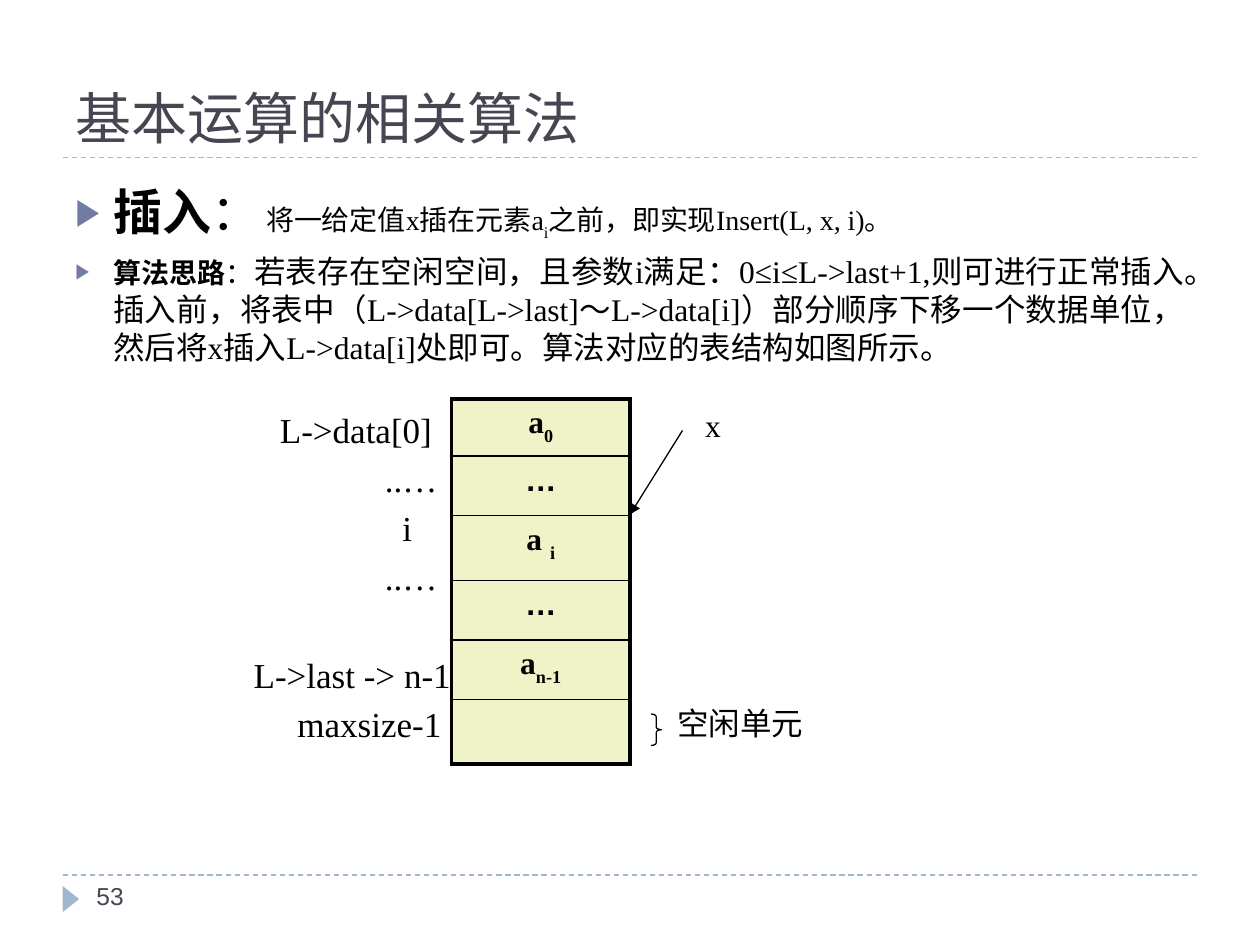
from lxml.etree import SubElement
from pptx import Presentation
from pptx.dml.color import RGBColor
from pptx.enum.dml import MSO_LINE
from pptx.enum.shapes import MSO_CONNECTOR as CONNECTOR, MSO_SHAPE as SHAPE
from pptx.enum.text import MSO_ANCHOR as ANCHOR, PP_ALIGN as ALIGN
from pptx.oxml.ns import qn
from pptx.util import Pt

COLORS = {"title": "464653", "text": "000000", "bullet": "727CA3",
          "accent": "9FB8CD", "cell": "F0F2C8"}
SERIF, SANS = "Times New Roman", "Arial"
ROW_HEIGHTS = [32, 34, 37, 34, 34, 37]
CELLS = [("a", "0"), ("…", ""), ("a ", "i"), ("…", ""), ("a", "n-1"), ("", "")]
LABELS = [("L->data[0]", 160, 0), ("..…", 220, 1), ("i", 230, 2),
          ("..…", 220, 3), ("L->last -> n-1", 145, 5), ("maxsize-1", 170, 6)]
BODY = [
    [("插入", {"size": 28, "bold": True}), ("：", {"size": 28}),
     (" 将一给定值x插在元素a", {"size": 16}), ("i", {"size": 16, "base": -30}),
     ("之前，即实现Insert(L, x, i)。", {"size": 16})],
    [("算法思路", {"size": 16, "bold": True}), ("：", {"size": 16}),
     ("若表存在空闲空间，且参数i满足：0≤i≤L->last+1,则可进行正常插入。"
      "插入前，将表中（L->data[L->last]～L->data[i]）部分顺序下移一个数据单位，"
      "然后将x插入L->data[i]处即可。算法对应的表结构如图所示。", {"size": 18})],
]


def rgb(name):
    """Return the named palette colour."""
    return RGBColor.from_string(COLORS[name])


def add_run(paragraph, text, size=18, font=SERIF, color="text", bold=False, base=0):
    """Append a formatted run, lowered when base is negative."""
    run = paragraph.add_run()
    run.text = text
    values = {"size": Pt(size), "name": font, "bold": bold}
    for key, value in values.items():
        setattr(run.font, key, value)
    run.font.color.rgb = rgb(color)
    if base:
        run.font._element.set("baseline", str(base * 1000))


def add_text(slide, left, top, width, height, inset=0):
    """Add a text box and return its text frame."""
    frame = slide.shapes.add_textbox(Pt(left), Pt(top), Pt(width), Pt(height)).text_frame
    frame.word_wrap = True
    for side in ("left", "top", "right", "bottom"):
        setattr(frame, f"margin_{side}", Pt(inset))
    return frame


def add_line(slide, start, end, color, dash=None, arrow=False):
    """Draw a thin straight line without a shadow."""
    line = slide.shapes.add_connector(
        CONNECTOR.STRAIGHT, *[Pt(value) for value in (*start, *end)])
    line.line.color.rgb = rgb(color)
    line.line.width = Pt(0.75)
    if dash:
        line.line.dash_style = dash
    if arrow:
        SubElement(line.line._get_or_add_ln(), qn("a:tailEnd"), type="triangle")
    SubElement(line._element.spPr, qn("a:effectLst"))


def add_bullet(paragraph, indent):
    """Give a paragraph a hanging triangle bullet."""
    properties = paragraph._p.get_or_add_pPr()
    properties.set("marL", str(Pt(indent)))
    properties.set("indent", str(-Pt(indent)))
    color = SubElement(properties, qn("a:buClr"))
    SubElement(color, qn("a:srgbClr"), val=COLORS["bullet"])
    SubElement(properties, qn("a:buSzPct"), val="76000")
    SubElement(properties, qn("a:buFont"), typeface=SANS)
    SubElement(properties, qn("a:buChar"), char="▶")


def set_border(cell, side, width):
    """Draw one solid border of a cell."""
    line = SubElement(cell._tc.get_or_add_tcPr(), qn(f"a:ln{side}"), w=str(Pt(width)))
    fill = SubElement(line, qn("a:solidFill"))
    SubElement(fill, qn("a:srgbClr"), val=COLORS["text"])


def fill_title(slide, left, top, width, height):
    """Place the title above its dashed rule."""
    title = slide.shapes.title
    box = {"left": left, "top": top, "width": width, "height": height}
    for key, value in box.items():
        setattr(title, key, Pt(value))
    title.text_frame.vertical_anchor = ANCHOR.BOTTOM
    paragraph = title.text_frame.paragraphs[0]
    paragraph.alignment = ALIGN.LEFT
    add_run(paragraph, "基本运算的相关算法", 32, SANS, "title")
    bottom = top + height
    add_line(slide, (left, bottom), (left + width, bottom), "accent", MSO_LINE.DASH)


def add_body(slide, left, top, width, height):
    """Write the bulleted explanation."""
    frame = add_text(slide, left, top, width, height, 3.6)
    frame.margin_left = frame.margin_right = Pt(7.2)
    for index, runs in enumerate(BODY):
        paragraph = frame.add_paragraph() if index else frame.paragraphs[0]
        paragraph.alignment = ALIGN.JUSTIFY
        paragraph.space_before = Pt(6)
        add_bullet(paragraph, 21.6)
        for text, style in runs:
            add_run(paragraph, text, **style)


def add_storage(slide, left, top, width):
    """Draw the storage column as a one-column table."""
    shape = slide.shapes.add_table(len(CELLS), 1, Pt(left), Pt(top), Pt(width),
                                   Pt(sum(ROW_HEIGHTS)))
    table = shape.table
    table.first_row = table.horz_banding = False
    last = len(CELLS) - 1
    for index, (text, subscript) in enumerate(CELLS):
        table.rows[index].height = Pt(ROW_HEIGHTS[index])
        cell = table.cell(index, 0)
        borders = {"L": 2.25, "R": 2.25, "T": 1 if index else 2.25,
                   "B": 1 if index < last else 2.25}
        for side, thickness in borders.items():
            set_border(cell, side, thickness)
        cell.fill.solid()
        cell.fill.fore_color.rgb = rgb("cell")
        paragraph = cell.text_frame.paragraphs[0]
        paragraph.alignment = ALIGN.CENTER
        paragraph.space_before = Pt(6)
        if text:
            add_run(paragraph, text, font=SANS if text == "…" else SERIF, bold=True)
        if subscript:
            add_run(paragraph, subscript, bold=True, base=-30)


def add_diagram(slide, left, top):
    """Draw the labelled storage column with its insertion arrow."""
    width, pitch, label_top = 102, 28, top + 5.5
    for text, label_left, row in LABELS:
        frame = add_text(slide, label_left, label_top + row * pitch, 130, 24)
        add_run(frame.paragraphs[0], text, 20)
    add_storage(slide, left, top, width)
    right = left + width
    add_line(slide, (right + 30, top + 18), (right, top + 66), "text", arrow=True)
    frame = add_text(slide, right + 43, top + 4, 20, 22)
    add_run(frame.paragraphs[0], "x")
    brace = slide.shapes.add_shape(SHAPE.RIGHT_BRACE, Pt(right + 12), Pt(top + 180),
                                   Pt(6), Pt(18))
    brace.adjustments[0] = 0.25
    brace.shadow.inherit = False
    brace.fill.background()
    brace.line.color.rgb = rgb("text")
    brace.line.width = Pt(0.75)
    frame = add_text(slide, right + 27, top + 174, 90, 24)
    add_run(frame.paragraphs[0], "空闲单元")


def add_footer(slide, left, top, width):
    """Draw the footer rule, marker and page number."""
    add_line(slide, (left, top), (left + width, top), "accent", MSO_LINE.DASH)
    marker = slide.shapes.add_shape(SHAPE.ISOSCELES_TRIANGLE, Pt(left - 3), Pt(top + 9),
                                    Pt(15), Pt(9.5))
    marker.rotation = 90
    marker.shadow.inherit = False
    marker.fill.solid()
    marker.fill.fore_color.rgb = rgb("accent")
    marker.line.fill.background()
    frame = add_text(slide, left + 12, top, 156, 29, 3.6)
    frame.margin_left = Pt(7.2)
    frame.vertical_anchor = ANCHOR.TOP
    add_run(frame.paragraphs[0], "53", 14, SANS, "title")


def main():
    """Build and save the slide."""
    presentation = Presentation()
    presentation.slide_width, presentation.slide_height = Pt(720), Pt(540)
    slide = presentation.slides.add_slide(presentation.slide_layouts[5])
    fill_title(slide, 36, 12, 648, 78)
    add_body(slide, 36, 100, 648, 120)
    add_diagram(slide, 258, 228)
    add_footer(slide, 36, 500, 648)
    presentation.save("out.pptx")


if __name__ == "__main__":
    main()
